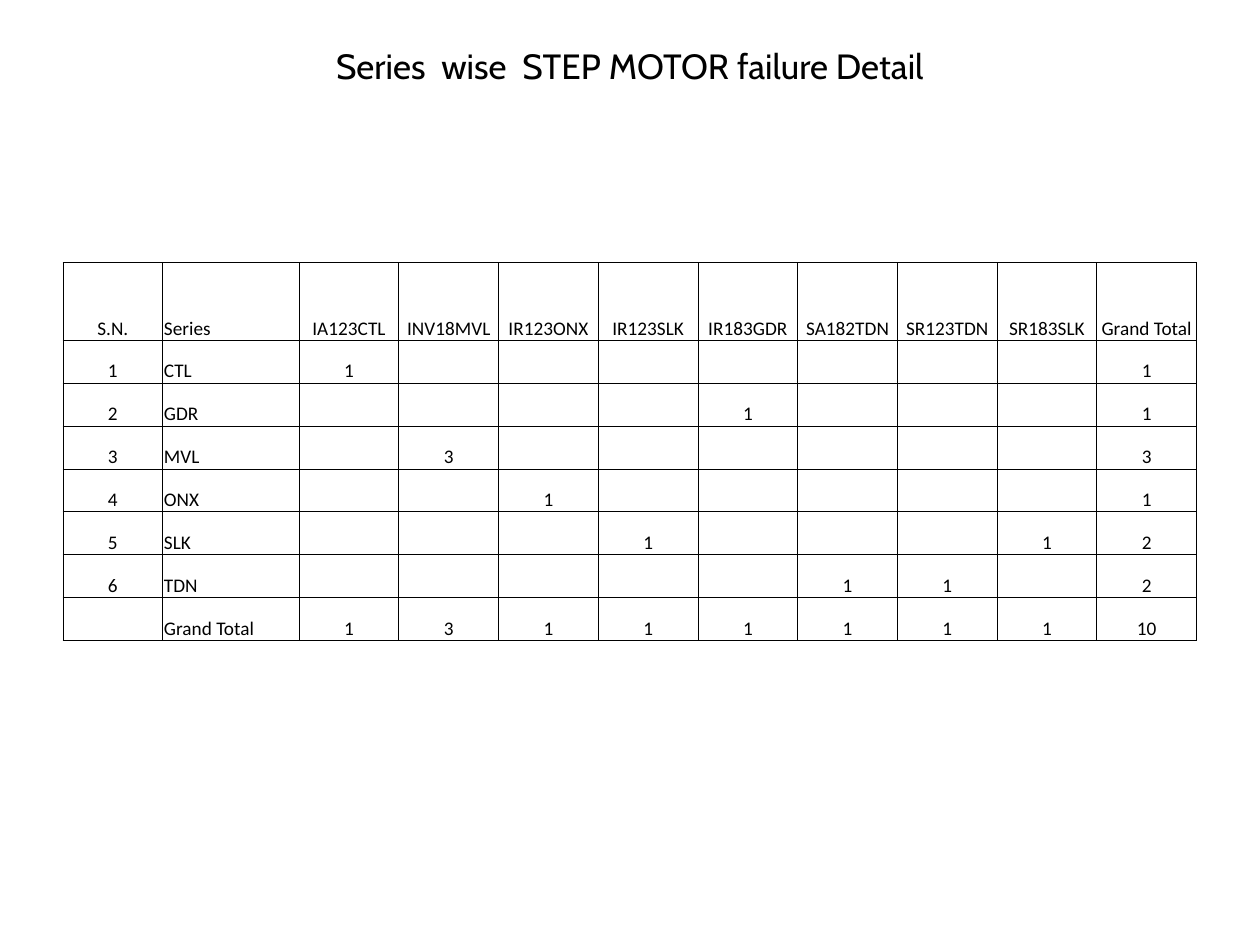
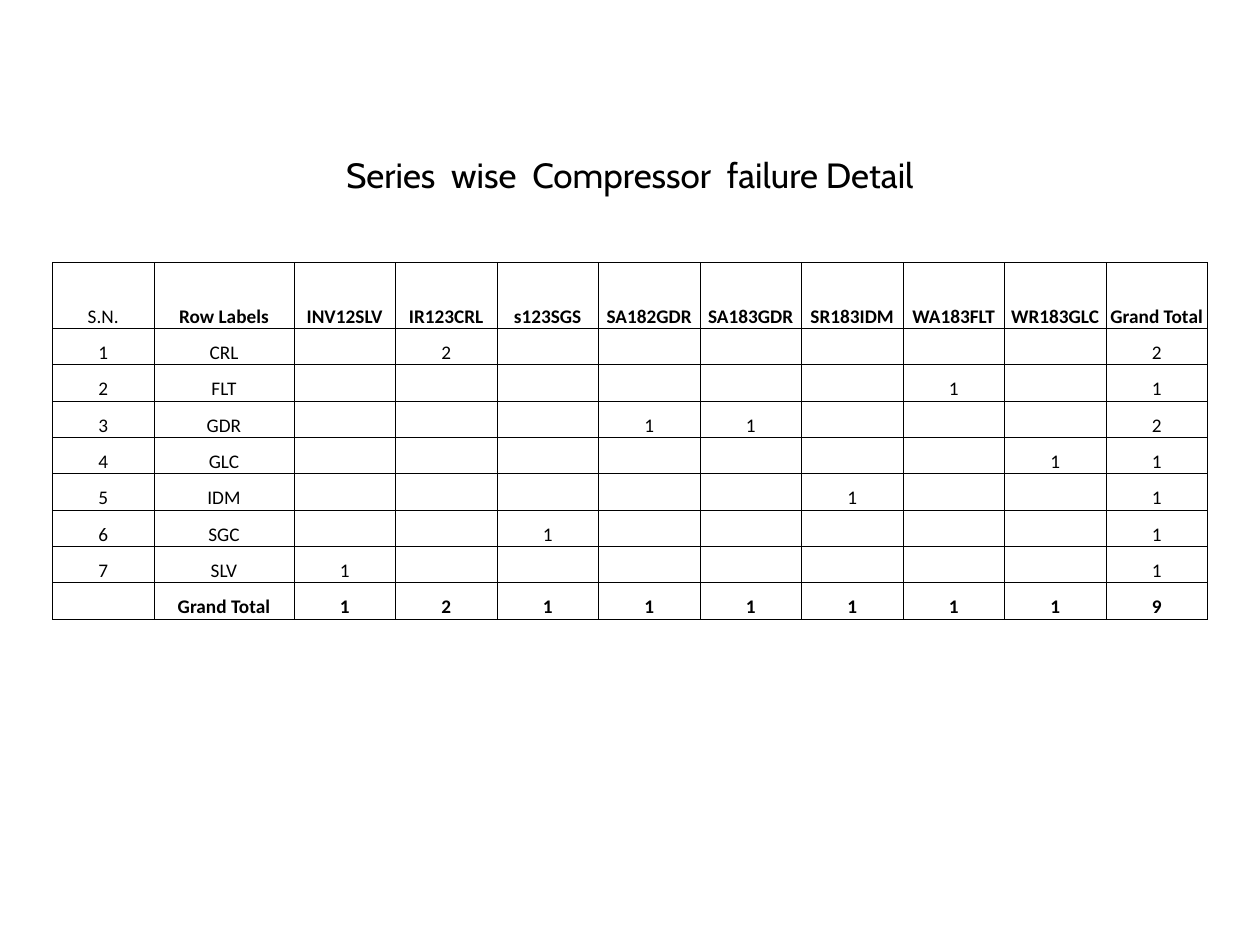
from dataclasses import dataclass

from lxml.etree import SubElement
from pptx import Presentation
from pptx.dml.color import RGBColor
from pptx.enum.text import MSO_ANCHOR, PP_ALIGN
from pptx.oxml.ns import qn
from pptx.util import Pt


@dataclass(frozen=True)
class Theme:
    ink: str = "000000"
    head: str = "Cabin"
    body: str = "Calibri"
    large: float = 20
    small: float = 11
    rule: float = 0.5
    inset: float = 0.72


THEME = Theme()

MOTORS = ["IA123CTL", "INV18MVL", "IR123ONX", "IR123SLK",
          "IR183GDR", "SA182TDN", "SR123TDN", "SR183SLK"]
MOTOR_FAULTS = {
    "CTL": {"IA123CTL": 1},
    "GDR": {"IR183GDR": 1},
    "MVL": {"INV18MVL": 3},
    "ONX": {"IR123ONX": 1},
    "SLK": {"IR123SLK": 1, "SR183SLK": 1},
    "TDN": {"SA182TDN": 1, "SR123TDN": 1},
}
PUMPS = ["INV12SLV", "IR123CRL", "s123SGS", "SA182GDR",
         "SA183GDR", "SR183IDM", "WA183FLT", "WR183GLC"]
PUMP_FAULTS = {
    "CRL": {"IR123CRL": 2},
    "FLT": {"WA183FLT": 1},
    "GDR": {"SA182GDR": 1, "SA183GDR": 1},
    "GLC": {"WR183GLC": 1},
    "IDM": {"SR183IDM": 1},
    "SGC": {"s123SGS": 1},
    "SLV": {"INV12SLV": 1},
}


def add_run(para, text, face, size, bold=False):
    run = para.add_run()
    run.text = text
    run.font.name = face
    run.font.size = Pt(size)
    run.font.bold = bold
    run.font.color.rgb = RGBColor.from_string(THEME.ink)


def add_title(slide, text, top):
    title = slide.shapes.title
    title.left, title.top, title.width, title.height = Pt(36), Pt(top), Pt(648), Pt(44.5)
    frame = title.text_frame
    frame.word_wrap = True
    frame.vertical_anchor = MSO_ANCHOR.TOP
    para = frame.paragraphs[0]
    para.alignment = PP_ALIGN.CENTER
    add_run(para, text, THEME.head, THEME.large)


def add_rules(cell):
    props = cell._tc.get_or_add_tcPr()
    for side in ("a:lnL", "a:lnR", "a:lnT", "a:lnB"):
        line = SubElement(props, qn(side), w=str(Pt(THEME.rule)))
        fill = SubElement(line, qn("a:solidFill"))
        SubElement(fill, qn("a:srgbClr"), val=THEME.ink)


def fill_cell(cell, text, align, bold):
    add_rules(cell)
    cell.fill.background()
    cell.vertical_anchor = MSO_ANCHOR.BOTTOM
    cell.margin_left = cell.margin_right = cell.margin_top = Pt(THEME.inset)
    cell.margin_bottom = 0
    para = cell.text_frame.paragraphs[0]
    para.alignment = align
    if text:
        add_run(para, text, THEME.body, THEME.small, bold)
    else:
        SubElement(para._p, qn("a:endParaRPr"), sz=str(int(THEME.small * 100)))


def count_rows(label, models, faults):
    rows = [["S.N.", label, *models, "Grand Total"]]
    for num, (name, hits) in enumerate(faults.items(), 1):
        rows.append([num, name, *(hits.get(model, "") for model in models),
                     sum(hits.values())])
    sums = [sum(hits.get(model, 0) for hits in faults.values()) for model in models]
    return rows + [["", "Grand Total", *sums, sum(sums)]]


def add_grid(slide, rows, left, unit, wide, high, tall, align, strong):
    last = len(rows) - 1
    widths = [unit, wide] + [unit] * (len(rows[0]) - 2)
    heights = [tall] + [high] * last
    frame = slide.shapes.add_table(len(rows), len(widths), Pt(left), Pt(150),
                                   Pt(sum(widths)), Pt(sum(heights)))
    table = frame.table
    table.first_row = table.horz_banding = False
    for col, width in zip(table.columns, widths):
        col.width = Pt(width)
    for row, height in zip(table.rows, heights):
        row.height = Pt(height)
    for r, values in enumerate(rows):
        for c, value in enumerate(values):
            bold = strong and r in (0, last) and c > 0
            fill_cell(table.cell(r, c), str(value),
                      align if c == 1 else PP_ALIGN.CENTER, bold)


def main():
    deck = Presentation()
    deck.slide_width, deck.slide_height = Pt(720), Pt(540)
    layout = deck.slide_layouts[5]

    motor = deck.slides.add_slide(layout)
    add_title(motor, "Series  wise  STEP MOTOR failure Detail", 21.6)
    add_grid(motor, count_rows("Series", MOTORS, MOTOR_FAULTS), left=36, unit=57,
             wide=78, high=24.5, tall=44.5, align=PP_ALIGN.LEFT, strong=False)

    pump = deck.slides.add_slide(layout)
    add_title(pump, "Series  wise  Compressor  failure Detail", 84)
    add_grid(pump, count_rows("Row Labels", PUMPS, PUMP_FAULTS), left=30, unit=58,
             wide=80, high=20.8, tall=37.6, align=PP_ALIGN.CENTER, strong=True)

    deck.save("out.pptx")


if __name__ == "__main__":
    main()
